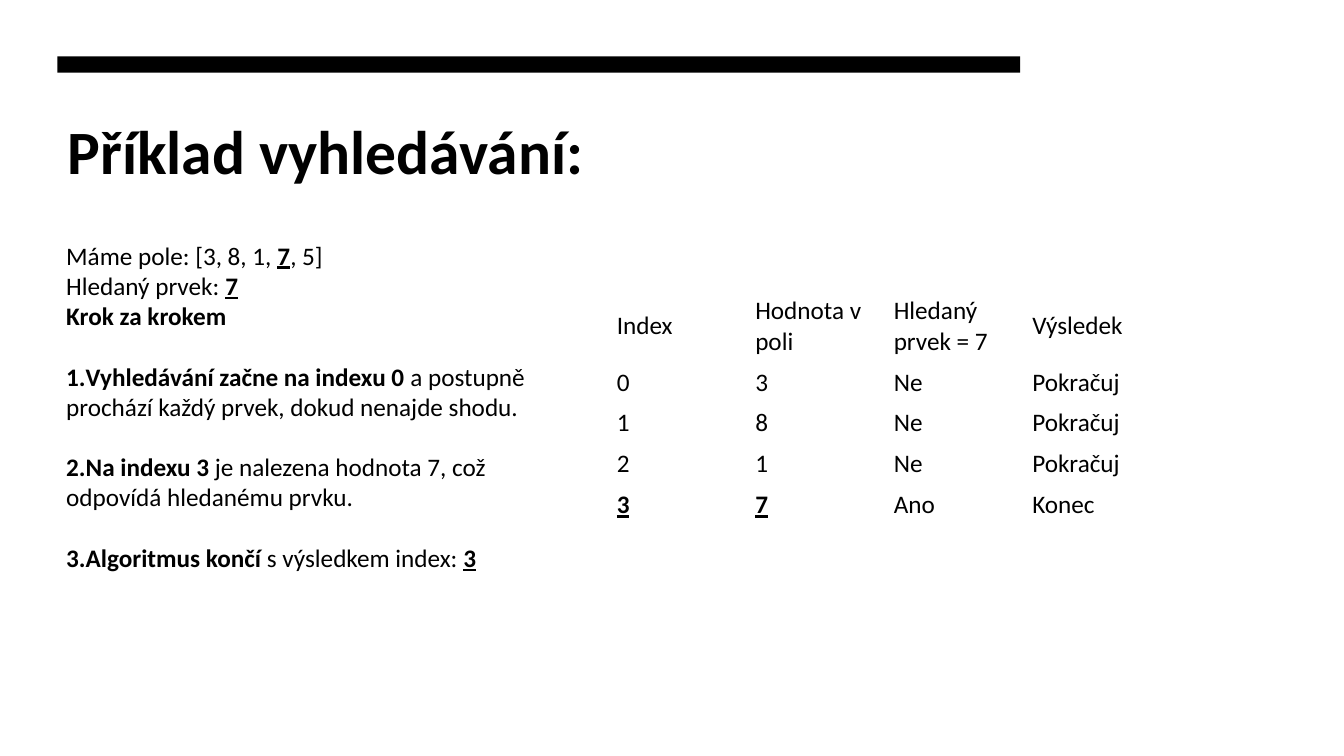
from lxml.etree import SubElement
from pptx import Presentation
from pptx.dml.color import RGBColor
from pptx.enum.shapes import MSO_SHAPE
from pptx.enum.text import MSO_ANCHOR
from pptx.oxml.ns import qn
from pptx.util import Cm, Pt

BLACK = RGBColor(0x00, 0x00, 0x00)
WHITE = RGBColor(0xFF, 0xFF, 0xFF)

INTRODUCTION = [
    ["Máme pole: [3, 8, 1, ", "_7", ", 5]", "\n", "Hledaný prvek: ", "_7"],
    ["*Krok za krokem"],
]
SEARCH_STEPS = [
    ["*Vyhledávání začne na indexu 0", " a postupně prochází každý prvek, dokud nenajde shodu."],
    ["*Na indexu 3", " je nalezena hodnota 7, což odpovídá hledanému prvku."],
    ["*Algoritmus končí", " s výsledkem index: ", "_3"],
]
SEARCH_TABLE = [
    ["Index", "Hodnota v poli", "Hledaný prvek = 7", "Výsledek"],
    ["0", "3", "Ne", "Pokračuj"],
    ["1", "8", "Ne", "Pokračuj"],
    ["2", "1", "Ne", "Pokračuj"],
    ["_3", "_7", "Ano", "Konec"],
]


class SlideBuilder:
    font_name = "Calibri"
    body_size = Pt(18)
    line_height = Pt(21.6)

    def __init__(self, presentation):
        self.slide = presentation.slides.add_slide(presentation.slide_layouts[6])

    def style(self, paragraph, size):
        paragraph.font.name = self.font_name
        paragraph.font.size = size
        paragraph.font.color.rgb = BLACK

    def add_runs(self, paragraph, pieces):
        """Add runs: a leading * marks bold, a leading _ bold and underlined."""
        for piece in pieces:
            if piece == "\n":
                paragraph.add_line_break()
                continue
            run = paragraph.add_run()
            run.text = piece.lstrip("*_")
            if piece[0] in "*_":
                run.font.bold = True
            if piece[0] == "_":
                run.font.underline = True

    def rectangle(self, left, top, width, height, color):
        shape = self.slide.shapes.add_shape(
            MSO_SHAPE.RECTANGLE, Cm(left), Cm(top), Cm(width), Cm(height))
        shape.shadow.inherit = False
        shape.fill.solid()
        shape.fill.fore_color.rgb = color
        shape.line.fill.background()

    def text_box(self, left, top, width, height):
        shape = self.slide.shapes.add_textbox(Cm(left), Cm(top), Cm(width), Cm(height))
        shape.text_frame.word_wrap = True
        return shape.text_frame

    def title(self, text, left, top, width, height):
        paragraph = self.text_box(left, top, width, height).paragraphs[0]
        self.add_runs(paragraph, [text])
        self.style(paragraph, Pt(44))
        paragraph.font.bold = True

    def explanation(self, introduction, steps, left, top, width, height):
        frame = self.text_box(left, top, width, height)
        for index, pieces in enumerate(introduction + steps):
            paragraph = frame.add_paragraph() if index else frame.paragraphs[0]
            paragraph.line_spacing = self.line_height
            step_number = index - len(introduction) + 1
            if step_number > 0:
                paragraph.space_before = self.line_height
                self.number(paragraph, step_number)
            self.add_runs(paragraph, pieces)
            self.style(paragraph, self.body_size)

    def number(self, paragraph, start):
        properties = paragraph._p.get_or_add_pPr()
        properties.set("marL", "0")
        properties.set("indent", "0")
        SubElement(properties, qn("a:buAutoNum"), type="arabicPeriod", startAt=str(start))

    def table(self, rows, left, top, column_width, header_height, row_height):
        column_count = len(rows[0])
        table = self.slide.shapes.add_table(
            len(rows), column_count, Cm(left), Cm(top), Cm(column_width * column_count),
            Cm(header_height + row_height * (len(rows) - 1))).table
        table.first_row = table.horz_banding = False
        for column in table.columns:
            column.width = Cm(column_width)
        for index, values in enumerate(rows):
            table.rows[index].height = Cm(row_height if index else header_height)
            for cell, value in zip(table.rows[index].cells, values):
                cell.fill.background()
                cell.vertical_anchor = MSO_ANCHOR.MIDDLE
                paragraph = cell.text_frame.paragraphs[0]
                self.add_runs(paragraph, [value])
                self.style(paragraph, self.body_size)


def main():
    presentation = Presentation()
    presentation.slide_width = Cm(33.87)
    presentation.slide_height = Cm(19.05)
    builder = SlideBuilder(presentation)
    builder.rectangle(0, 0, 33.87, 19.05, WHITE)
    builder.title("Příklad vyhledávání:", 1.45, 2.72, 24.13, 4.06)
    builder.table(SEARCH_TABLE, 15.29, 7.32, 3.49, 1.8, 1.03)
    builder.rectangle(1.45, 1.42, 24.26, 0.41, BLACK)
    builder.explanation(INTRODUCTION, SEARCH_STEPS, 1.42, 5.92, 12.57, 9.8)
    presentation.save("out.pptx")


if __name__ == "__main__":
    main()
